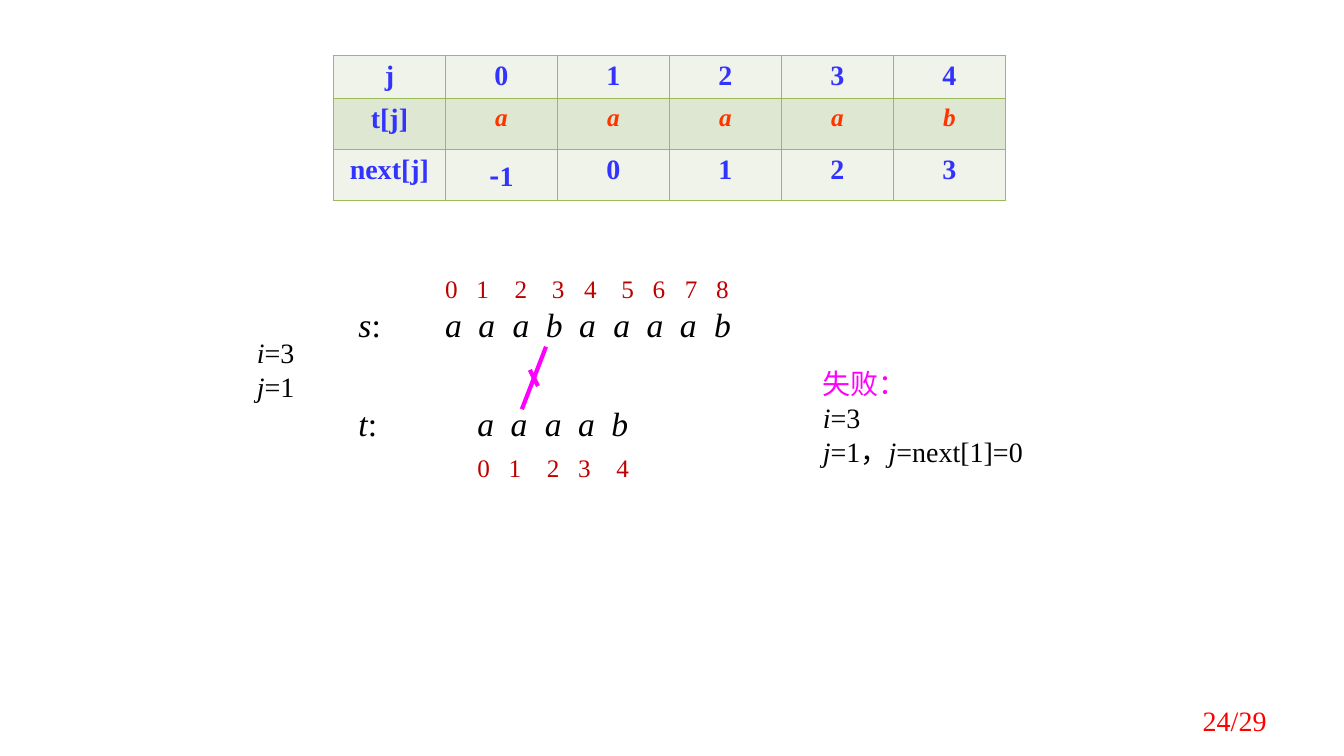
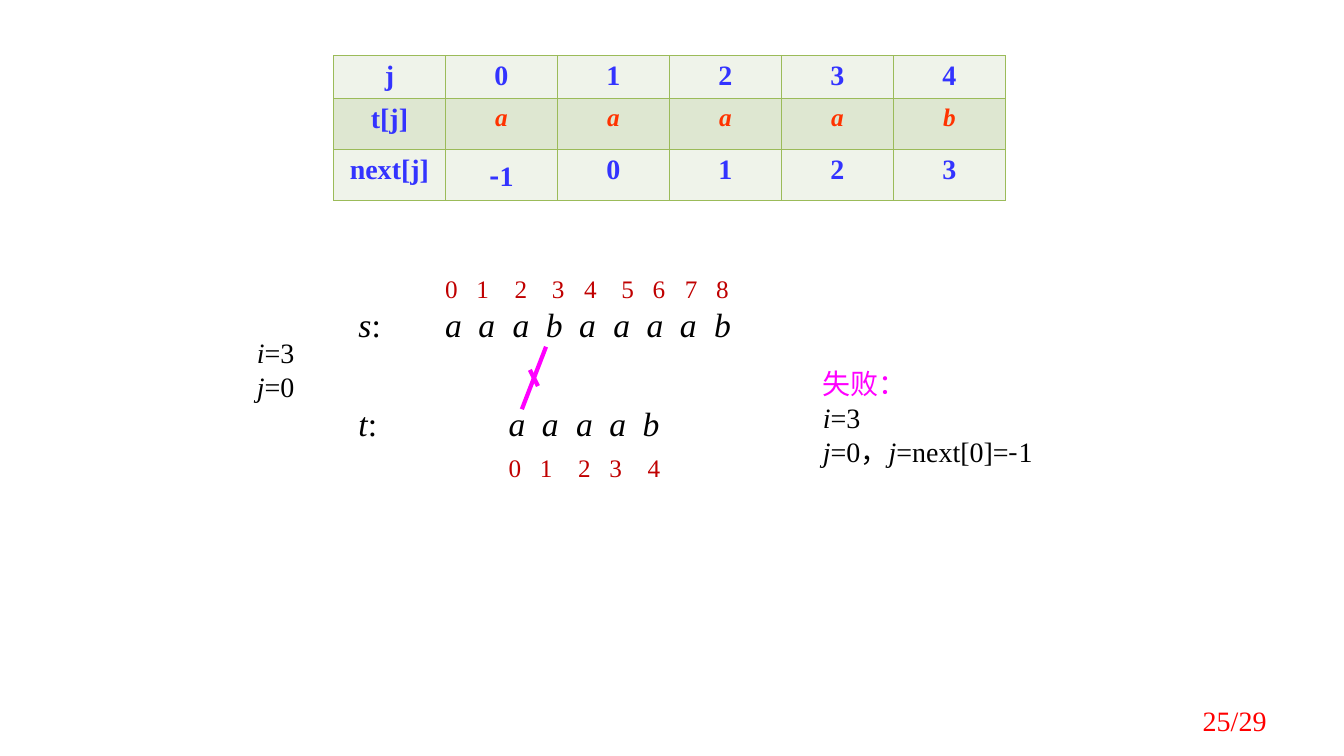
from dataclasses import dataclass

from lxml import etree
from pptx import Presentation
from pptx import util as u
from pptx.dml.color import RGBColor
from pptx.enum import shapes, text
from pptx.oxml.ns import qn

PX = 9144  # EMU in one px, 100 px to the inch
LATIN, CJK = "Times New Roman", "Noto Sans CJK SC"
COLORS = {
    "ink": "000000", "header": "3333FF", "pattern": "FF3300", "index": "C00000",
    "mismatch": "FF00FF", "page": "FF0000", "border": "9BBB59",
    "light": "EFF3EA", "dark": "DEE7D1",
}
LEFT, CENTER, RIGHT = text.PP_ALIGN.LEFT, text.PP_ALIGN.CENTER, text.PP_ALIGN.RIGHT

# Tab stops: letters are evenly spaced, index digits follow their own steps
LETTER_STOPS = [round(n * 100 / 3) for n in range(1, 9)]
S_INDEX_STOPS = [31, 69, 106, 138, 175, 206, 238, 269]
T_INDEX_STOPS = [31, 69, 100, 138]

S_TEXT, T_TEXT = "aaabaaaab", "aaaab"
NEXT_VALUES = ["-1", "0", "1", "2", "3"]


@dataclass
class Span:
    text: str
    size: int = 20
    color: str = "ink"
    italic: bool = False
    bold: bool = False
    font: str = LATIN


def px(length):
    return u.Emu(length * PX)


def rgb(name):
    return RGBColor.from_string(COLORS[name])


def add_spans(para, spans):
    for span in spans:
        run = para.add_run()
        run.text = span.text
        font = run.font
        font.name, font.size = span.font, u.Pt(span.size)
        font.bold, font.italic = span.bold, span.italic
        font.color.rgb = rgb(span.color)
        east_asian = etree.Element(qn("a:ea"), typeface=CJK)
        run._r.get_or_add_rPr().find(qn("a:latin")).addnext(east_asian)


def add_tab_stops(para, stops):
    tab_list = etree.SubElement(para._p.get_or_add_pPr(), qn("a:tabLst"))
    for stop in stops:
        etree.SubElement(tab_list, qn("a:tab"), pos=str(px(stop)), algn="l")


def add_text(page, at, lines, align=LEFT, stops=(), grow=True):
    box = page.shapes.add_textbox(*map(px, at))
    frame = box.text_frame
    frame.word_wrap = True
    if grow:
        frame.auto_size = text.MSO_AUTO_SIZE.SHAPE_TO_FIT_TEXT
    else:
        frame.vertical_anchor = text.MSO_ANCHOR.MIDDLE
    for number, spans in enumerate(lines):
        para = frame.add_paragraph() if number else frame.paragraphs[0]
        para.alignment = align
        if stops:
            add_tab_stops(para, stops)
        add_spans(para, spans)


def add_letters(page, at, letters):
    span = Span("\t".join(letters), 24, italic=True)
    add_text(page, at, [[span]], stops=LETTER_STOPS)


def add_indexes(page, at, count, stops):
    span = Span("\t".join(map(str, range(count))), 18, "index")
    add_text(page, at, [[span]], stops=stops)


def add_name(page, top, name):
    add_text(page, (346, top, 70, 50), [[Span(name, 24, italic=True), Span(":", 24)]])


def equation(name, value):
    return [Span(name, italic=True), Span("=" + value)]


def number_spans(value, **style):
    """The minus sign is set in the East Asian font."""
    return [Span(part, font=CJK if part == "-" else LATIN, **style) for part in value]


def style_cell(cell, fill):
    cell.fill.solid()
    cell.fill.fore_color.rgb = rgb(fill)
    properties = cell._tc.get_or_add_tcPr()
    for index, side in enumerate(("lnL", "lnR", "lnT", "lnB")):
        line = etree.Element(qn("a:" + side), w=str(u.Pt(0.45)))
        solid = etree.SubElement(line, qn("a:solidFill"))
        etree.SubElement(solid, qn("a:srgbClr"), val=COLORS["border"])
        properties.insert(index, line)


def add_next_table(page):
    header = {"color": "header", "bold": True}
    pattern = {"size": 18, "color": "pattern", "bold": True, "italic": True}
    rows = [
        ("j", "01234", header, "light", 43),
        ("t[j]", T_TEXT, pattern, "dark", 50),
        ("next[j]", NEXT_VALUES, header, "light", 43),
    ]
    area = map(px, (331, 55, 667, 136))
    table = page.shapes.add_table(len(rows), 6, *area).table
    table.first_row = table.horz_banding = False
    for row, (label, values, style, fill, height) in enumerate(rows):
        table.rows[row].height = px(height)
        contents = [[Span(label, **header)]]
        contents += [number_spans(value, **style) for value in values]
        for column, spans in enumerate(contents):
            cell = table.cell(row, column)
            style_cell(cell, fill)
            para = cell.text_frame.paragraphs[0]
            para.alignment = CENTER
            add_spans(para, spans)


def add_mismatch_mark(page):
    group = page.shapes.add_group_shape()
    for ends in ((542, 344, 518, 406), (526, 367, 534, 383)):
        line = group.shapes.add_connector(shapes.MSO_CONNECTOR.STRAIGHT, *map(px, ends))
        line.line.color.rgb = rgb("mismatch")
        line.line.width = u.Pt(3)
        etree.SubElement(line._element.spPr, qn("a:effectLst"))


def add_step(deck, page_number, t_left, j, next_j):
    page = deck.slides.add_slide(deck.slide_layouts[6])
    add_next_table(page)

    # Text s with its indexes
    add_letters(page, (432, 297, 336, 50), S_TEXT)
    add_name(page, 297, "s")
    add_indexes(page, (432, 266, 328, 40), len(S_TEXT), S_INDEX_STOPS)

    # Pattern t, moved along s
    add_letters(page, (t_left, 395, 227, 50), T_TEXT)
    add_name(page, 395, "t")
    add_indexes(page, (t_left, 444, 195, 40), len(T_TEXT), T_INDEX_STOPS)

    # Outcome and current state
    update = equation("j", f"{j}，") + equation("j", f"next[{j}]=")
    add_text(page, (807, 359, 250, 110), [
        [Span("失败：", color="mismatch", font=CJK)],
        equation("i", "3"),
        update + number_spans(next_j),
    ])
    add_mismatch_mark(page)
    add_text(page, (245, 328, 78, 77), [equation("i", "3"), equation("j", str(j))])

    # Page number
    add_text(page, (956, 695, 311, 40), [[Span(f"{page_number}/29", color="page")]],
             align=RIGHT, grow=False)


def main():
    deck = Presentation()
    deck.slide_width, deck.slide_height = px(1334), px(750)
    for page_number, t_left, j in ((24, 464, 1), (25, 495, 0)):
        add_step(deck, page_number, t_left, j, NEXT_VALUES[j])
    deck.save("out.pptx")


if __name__ == "__main__":
    main()
